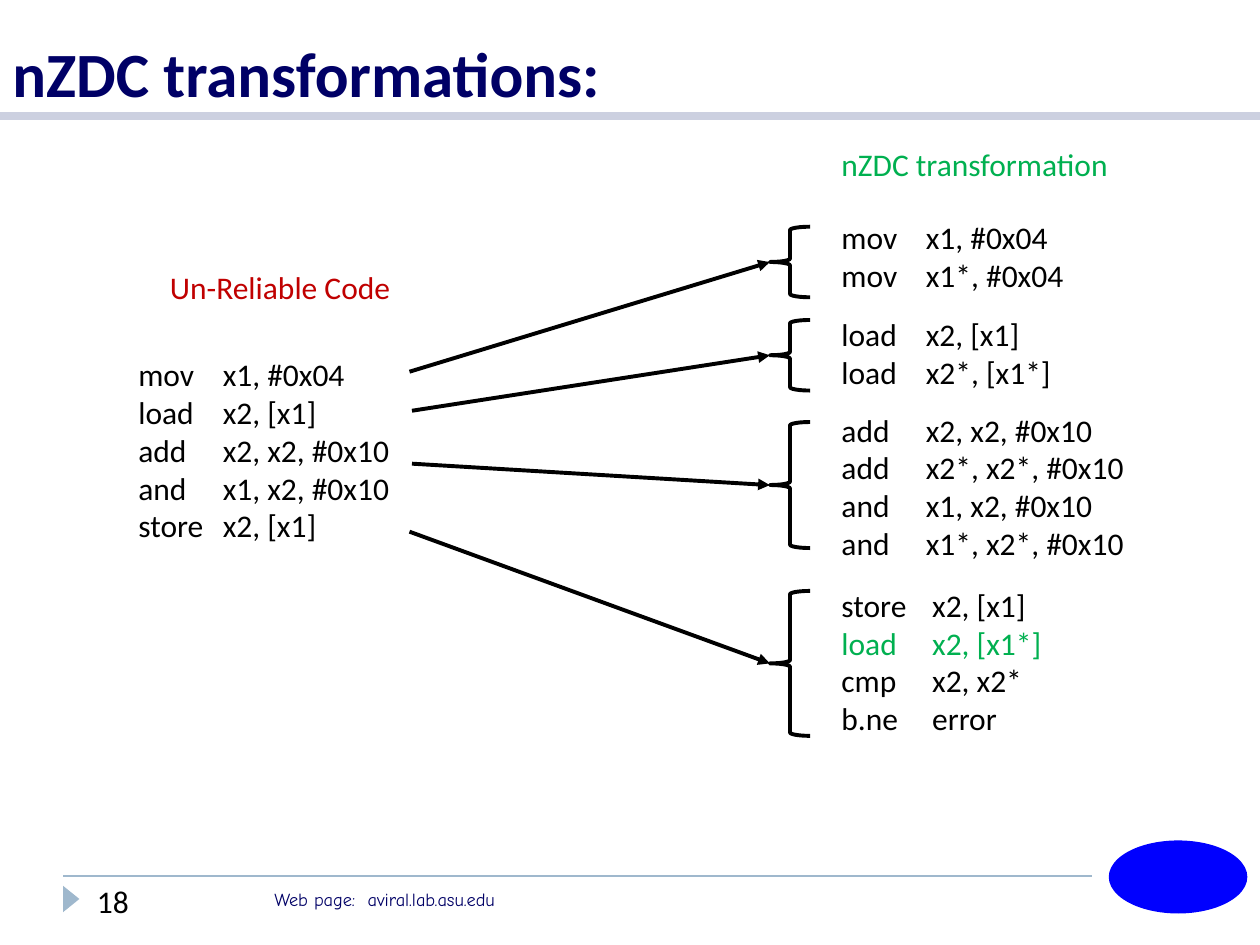
from lxml import etree
from pptx import Presentation
from pptx import util as u
from pptx.dml.color import RGBColor
from pptx.enum import shapes as s, text as t
from pptx.oxml.ns import qn

COLS, ROWS = 100, 75
WIDE, HIGH = u.Inches(10), u.Inches(7.5)
INK = {"navy": "000066", "black": "000000", "red": "C00000", "green": "00B050",
       "rule": "CCD0E0", "steel": "9FB8CD", "blue": "0000FF"}
ARROW = 61.1  # column where every arrow meets its brace
CODE = 65.8   # column of the transformed code

BEFORE = ["mov\tx1, #0x04", "load\tx2, [x1]", "add\tx2, x2, #0x10",
          "and\tx1, x2, #0x10", "store\tx2, [x1]"]

# code row, code width, tab column, brace row, brace height, arrow start, lines
GROUPS = [
    (16.8, 25, 6.7, 18, 5.6, (32.5, 29.5),
     ["mov\tx1, #0x04", "mov\tx1*, #0x04"]),
    (24.5, 21.7, 6.7, 25.4, 5.6, (32.7, 32.6),
     ["load\tx2, [x1]", "load\tx2*, [x1*]"]),
    (32.1, 26.4, 6.7, 33.5, 10, (32.7, 36.8),
     ["add\tx2, x2, #0x10", "add\tx2*, x2*, #0x10",
      "and\tx1, x2, #0x10", "and\tx1*, x2*, #0x10"]),
    (46, 21.4, 7.2, 46.9, 11.5, (32.5, 42.2),
     ["store\tx2, [x1]", "load\tx2, [x1*]", "cmp\tx2, x2*", "b.ne\terror"]),
]


def col(n):
    return round(WIDE * n / COLS)


def row(n):
    return round(HIGH * n / ROWS)


def cells(x, y, w, h):
    return col(x), row(y), col(w), row(h)


def tint(name):
    return RGBColor.from_string(INK[name])


def stop(para, at):
    """Give the paragraph one left tab stop, in columns."""
    tabs = etree.SubElement(para._p.get_or_add_pPr(), qn("a:tabLst"))
    etree.SubElement(tabs, qn("a:tab"), pos=str(col(at)), algn="l")


def words(slide, area, lines, ink="black", size=18, face="Calibri",
          bold=False, tab=None, wrap=True):
    frame = slide.shapes.add_textbox(*cells(*area)).text_frame
    frame.word_wrap = wrap
    frame.text = "\n".join(lines)
    for para in frame.paragraphs:
        if tab:
            stop(para, tab)
        for run in para.runs:
            run.font.size, run.font.name = u.Pt(size), face
            run.font.bold = bold
            run.font.color.rgb = tint(ink)
    return frame


def line(slide, start, end, ink, width):
    link = slide.shapes.add_connector(
        s.MSO_CONNECTOR.STRAIGHT, col(start[0]), row(start[1]),
        col(end[0]), row(end[1]))
    link.line.color.rgb = tint(ink)
    link.line.width = u.Pt(width)
    etree.SubElement(link._element.spPr, qn("a:effectLst"))
    return link


def solid(slide, kind, area, ink):
    shape = slide.shapes.add_shape(kind, *cells(*area))
    shape.shadow.inherit = False
    shape.fill.solid()
    shape.fill.fore_color.rgb = tint(ink)
    shape.line.fill.background()
    return shape


def brace(slide, y, h):
    shape = slide.shapes.add_shape(s.MSO_SHAPE.LEFT_BRACE,
                                   *cells(ARROW, y, 3.2, h))
    shape.shadow.inherit = False
    shape.fill.background()
    shape.line.color.rgb = tint("black")
    shape.line.width = u.Pt(2.25)
    return shape


def arrow(slide, start, target):
    """Point from a place on the grid to the tip of a brace."""
    link = line(slide, start, start, "black", 2.25)
    link.end_connect(target, 1)
    etree.SubElement(link.line._get_or_add_ln(), qn("a:tailEnd"),
                     type="triangle")


def frame(slide):
    """Draw the title rule and the footer."""
    line(slide, (5, 69.5), (86.7, 69.5), "steel", 1)
    line(slide, (0, 9.2), (COLS, 9.2), "rule", 5)
    mark = solid(slide, s.MSO_SHAPE.ISOSCELES_TRIANGLE,
                 (4.6, 70.7, 2.1, 1.3), "steel")
    mark.rotation = 90
    words(slide, (20.8, 70, 37.5, 2.8), ["Web page:\taviral.lab.asu.edu"],
          "navy", 10.5, "Comic Neue", tab=7.4)
    solid(slide, s.MSO_SHAPE.OVAL, (88, 66.7, 11, 5.8), "blue")
    words(slide, (6.7, 69.5, 14.1, 4), ["18"])


def main():
    deck = Presentation()
    deck.slide_width, deck.slide_height = WIDE, HIGH
    slide = deck.slides.add_slide(deck.slide_layouts[6])
    frame(slide)
    title = words(slide, (0, 0, COLS, 9.2), ["nZDC transformations:"],
                  "navy", 36, bold=True)
    title.vertical_anchor = t.MSO_ANCHOR.BOTTOM
    words(slide, (12.5, 20.8, 20.2, 4), ["Un-Reliable Code"], "red",
          wrap=False)
    words(slide, (10, 27.7, 22.7, 16.2), BEFORE, tab=6.7, wrap=False)
    words(slide, (CODE, 11, 24.5, 4), ["nZDC transformation"], "green",
          wrap=False)
    for y, w, tab, top, h, start, lines in GROUPS:
        code = words(slide, (CODE, y, w, 1 + 3 * len(lines)), lines, tab=tab)
        arrow(slide, start, brace(slide, top, h))
    for run in code.paragraphs[1].runs:  # the added check load
        run.font.color.rgb = tint("green")
    deck.save("out.pptx")


if __name__ == "__main__":
    main()
